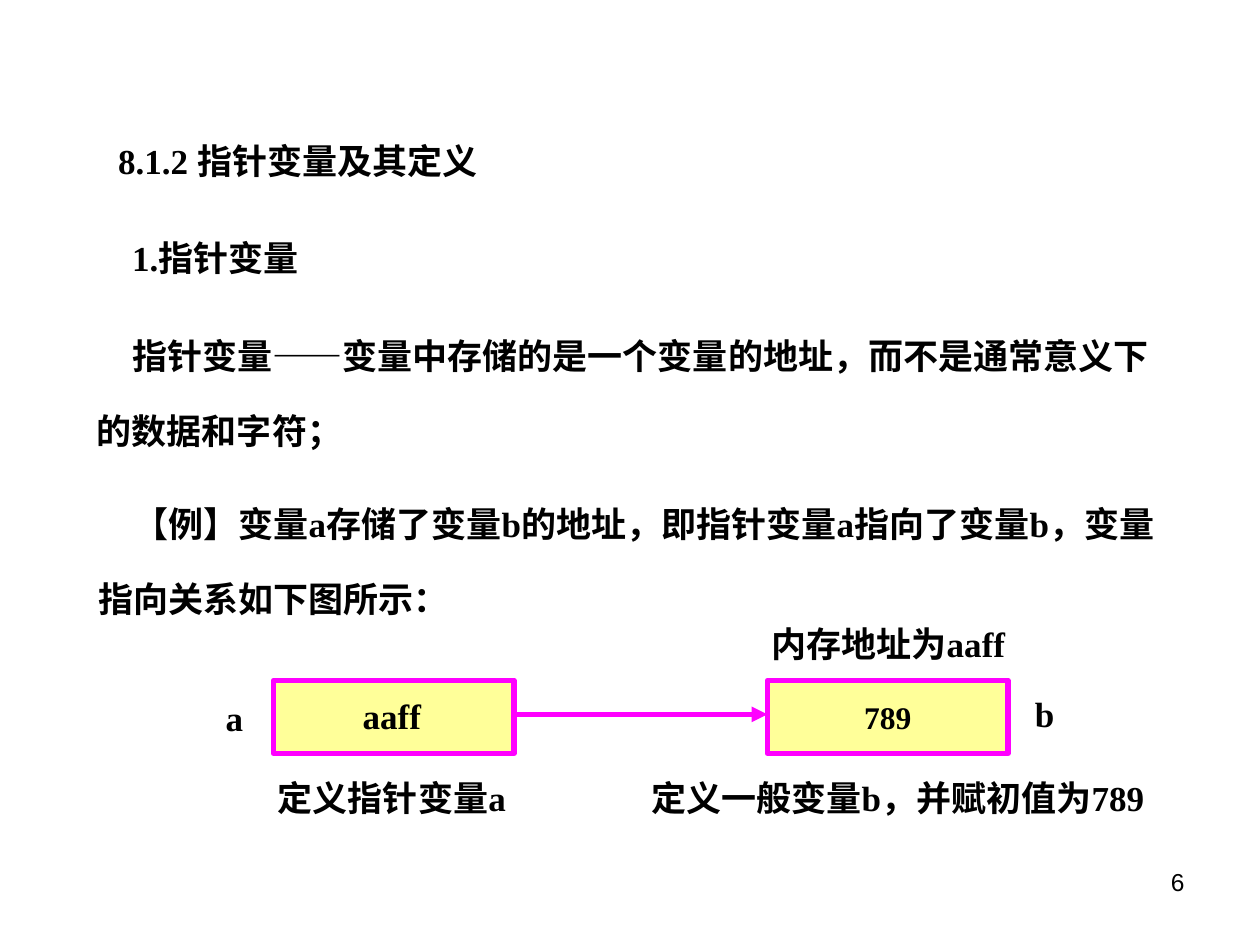
from lxml import etree
from pptx import Presentation
from pptx.dml.color import RGBColor
from pptx.enum.shapes import MSO_CONNECTOR, MSO_SHAPE
from pptx.enum.text import MSO_ANCHOR, MSO_AUTO_SIZE, PP_ALIGN
from pptx.oxml.ns import qn
from pptx.util import Inches, Pt

RECT, STRAIGHT = MSO_SHAPE.RECTANGLE, MSO_CONNECTOR.STRAIGHT
LEFT, CENTER, RIGHT = PP_ALIGN.LEFT, PP_ALIGN.CENTER, PP_ALIGN.RIGHT
MIDDLE, FIT = MSO_ANCHOR.MIDDLE, MSO_AUTO_SIZE.SHAPE_TO_FIT_TEXT
BLACK, MAGENTA, YELLOW = "000000", "FF00FF", "FFFF99"


def color(hex_string):
    return RGBColor.from_string(hex_string)


def write(p, text, size=20, align=CENTER, font="Times New Roman", bold=True):
    p.text = text
    p.alignment = align
    for r in p.runs:
        r.font.name = font
        r.font.size = Pt(size)
        r.font.bold = bold
        r.font.color.rgb = color(BLACK)


prs = Presentation()
prs.slide_width, prs.slide_height = Inches(10), Inches(7.5)
s = prs.slides.add_slide(prs.slide_layouts[6])

# Body text: (text, first-line indent, line spacing)
bodies = [
    (0.67, 0.68, 2.97, [
        ("8.1.2 指针变量及其定义", 0.17, 2.13),
        ("1.指针变量", 0.28, 1.8),
        ("指针变量——变量中存储的是一个变量的地址，而不是通常意义下的数据和字符；", 0.28, 1.8),
    ]),
    (0.68, 3.67, 1.3, [
        ("【例】变量a存储了变量b的地址，即指针变量a指向了变量b，变量指向关系如下图所示：", 0.28, 1.8),
    ]),
]
for x, y, h, paragraphs in bodies:
    tf = s.shapes.add_textbox(Inches(x), Inches(y), Inches(8.73), Inches(h)).text_frame
    tf.word_wrap = True
    tf.auto_size = FIT
    for i, (text, indent, spacing) in enumerate(paragraphs):
        p = tf.add_paragraph() if i else tf.paragraphs[0]
        write(p, text, align=LEFT)
        p.line_spacing = spacing
        if i:
            p.space_before = Pt(12.5)
        p._p.get_or_add_pPr().set("indent", str(Inches(indent)))

# Memory cells of the two variables
cells = []
for x in (2.17, 6.09):
    cell = s.shapes.add_shape(RECT, Inches(x), Inches(5.4), Inches(1.91), Inches(0.58))
    cell.shadow.inherit = False
    cell.fill.solid()
    cell.fill.fore_color.rgb = color(YELLOW)
    cell.line.color.rgb = color(MAGENTA)
    cell.line.width = Pt(3)
    cells.append(cell)
tf = cells[1].text_frame
tf.word_wrap = False
tf.vertical_anchor = MIDDLE
write(tf.paragraphs[0], "789", size=18)

# Pointer arrow from a to b
arrow = s.shapes.add_connector(STRAIGHT, Inches(4.08), Inches(5.67), Inches(6.09), Inches(5.67))
arrow.line.color.rgb = color(MAGENTA)
arrow.line.width = Pt(3)
etree.SubElement(arrow.line._get_or_add_ln(), qn("a:tailEnd"), type="triangle")
etree.SubElement(arrow._element.spPr, qn("a:effectLst"))

# Labels of the diagram
labels = [
    ("a", 1.61, 5.48, 0.5, 0.44),
    ("b", 8.04, 5.45, 0.5, 0.44),
    ("内存地址为aaff", 5.87, 4.89, 2.36, 0.44),
    ("定义指针变量a", 2.01, 6.11, 2.2, 0.44),
    ("定义一般变量b，并赋初值为789", 5, 6.11, 4.25, 0.77),
    ("aaff", 2.4, 5.48, 1.42, 0.39),
]
for text, x, y, w, h in labels:
    tf = s.shapes.add_textbox(Inches(x), Inches(y), Inches(w), Inches(h)).text_frame
    tf.word_wrap = True
    if text == "aaff":
        tf.vertical_anchor = MIDDLE
    else:
        tf.auto_size = FIT
    write(tf.paragraphs[0], text)

# Slide number
tf = s.shapes.add_textbox(Inches(7.17), Inches(6.83), Inches(2.33), Inches(0.52)).text_frame
tf.word_wrap = True
write(tf.paragraphs[0], "6", size=14, align=RIGHT, font="Arial", bold=False)

prs.save("out.pptx")
